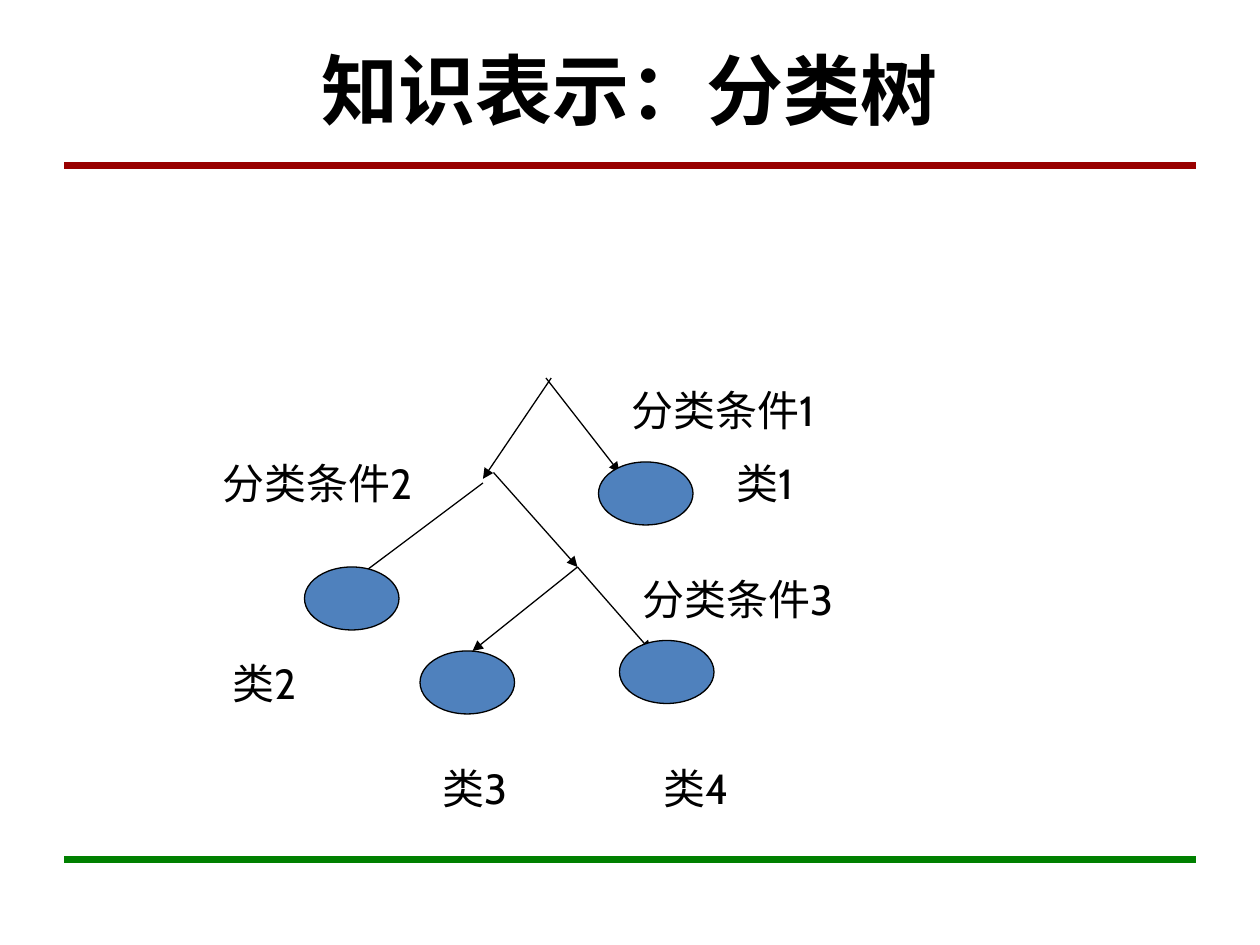
from pptx import Presentation
from pptx.util import Inches, Pt
from pptx.dml.color import RGBColor
from pptx.enum.shapes import MSO_CONNECTOR, MSO_SHAPE
from pptx.enum.text import MSO_ANCHOR, PP_ALIGN
from pptx.oxml.ns import qn
from lxml.etree import SubElement

FONT = "Cabin"
INK = "000000"
NODE_FILL = "4F81BD"

TITLE = "知识表示：分类树"
RULES = [(1.31, "990000"), (6.82, "008000")]  # y in inches, colour

# The tree lies on a grid of 12 cells to the inch
CELL = 1 / 12
BRANCHES = [  # from column, row, to column, row
    (52.5, 36, 46, 45.6),
    (52, 36, 59, 45),
    (46, 46, 34, 55),
    (47, 45, 55, 54),
    (55, 54, 45, 62),
    (55, 54, 62, 62),
]
CLASSES = [(29, 54), (59, 61), (57, 44), (40, 62)]  # column, row
CLASS_W, CLASS_H = 9, 6
LABELS = [  # text, column, row, columns wide
    ("分类条件1", 59, 36, 22),
    ("分类条件2", 20, 43, 23),
    ("分类条件3", 60, 54, 24),
    ("类1", 69, 43, 10),
    ("类2", 21, 62, 11),
    ("类3", 41, 72, 11),
    ("类4", 62, 72, 12),
]
LABEL_H = 6


def rgb(hex_colour):
    return RGBColor.from_string(hex_colour)


def grid(*cells):
    return [Inches(c * CELL) for c in cells]


def add_line(s, ends, colour, width, arrow=False):
    line = s.shapes.add_connector(MSO_CONNECTOR.STRAIGHT, *ends)
    line.line.color.rgb = rgb(colour)
    line.line.width = Pt(width)
    if arrow:
        SubElement(line.line._get_or_add_ln(), qn("a:tailEnd"), type="triangle")
    SubElement(line._element.spPr, qn("a:effectLst"))


def add_text(s, text, box, size, bold=False, align=PP_ALIGN.LEFT):
    tf = s.shapes.add_textbox(*box).text_frame
    tf.word_wrap = True
    tf.vertical_anchor = MSO_ANCHOR.MIDDLE
    p = tf.paragraphs[0]
    p.text = text
    p.alignment = align
    p.font.name = FONT
    p.font.size = Pt(size)
    p.font.bold = bold
    p.font.color.rgb = rgb(INK)


prs = Presentation()
prs.slide_width, prs.slide_height = Inches(10), Inches(7.5)
s = prs.slides.add_slide(prs.slide_layouts[6])

# Rules and title
for y, colour in RULES:
    add_line(s, [Inches(v) for v in (0.51, y, 9.49, y)], colour, 4)
add_text(s, TITLE, [Inches(v) for v in (0.5, 0.21, 9, 0.98)], 44,
         bold=True, align=PP_ALIGN.CENTER)

# Branches, then the class nodes over their ends
for ends in BRANCHES:
    add_line(s, grid(*ends), INK, 0.75, arrow=True)
for col, row in CLASSES:
    sp = s.shapes.add_shape(MSO_SHAPE.OVAL, *grid(col, row, CLASS_W, CLASS_H))
    sp.shadow.inherit = False
    sp.fill.solid()
    sp.fill.fore_color.rgb = rgb(NODE_FILL)
    sp.line.color.rgb = rgb(INK)
    sp.line.width = Pt(0.75)

# Labels
for text, col, row, width in LABELS:
    add_text(s, text, grid(col, row, width, LABEL_H), 24)

prs.save("out.pptx")
